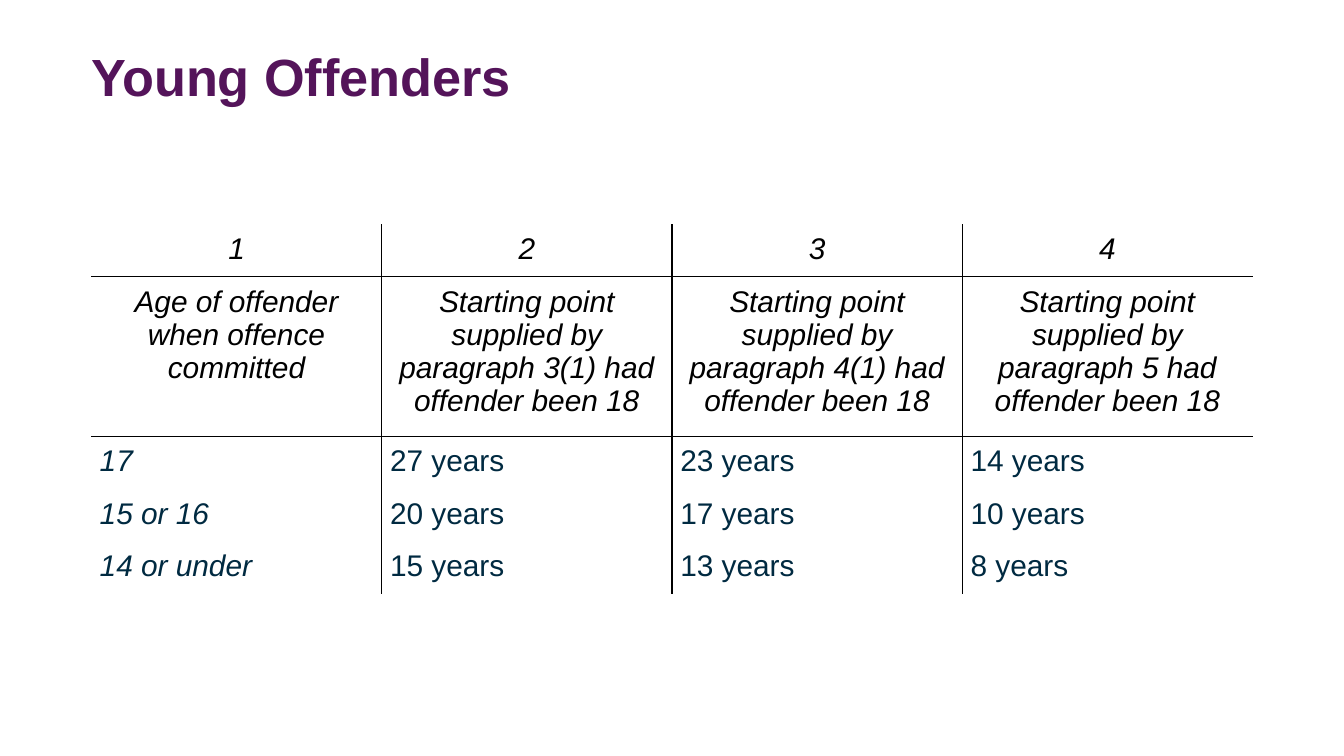
from dataclasses import dataclass

from lxml.etree import SubElement
from pptx import Presentation
from pptx.dml.color import RGBColor
from pptx.enum.text import MSO_ANCHOR, MSO_AUTO_SIZE, PP_ALIGN
from pptx.oxml.ns import qn
from pptx.util import Inches, Pt


@dataclass(frozen=True)
class Theme:
    """Colours, font and type sizes of the slide."""
    font: str = "Arial"
    title: str = "54145A"
    heading: str = "000000"
    body: str = "002A41"
    rule: str = "000000"
    paper: str = "FFFFFF"
    title_size: float = 28
    table_size: float = 16
    rule_width: float = 0.75


THEME = Theme()
SLIDE_WIDTH = 10
SLIDE_HEIGHT = SLIDE_WIDTH * 9 / 16
LEFT, WIDTH = 0.68, 8.64
CELL_INSET = 1 / 16
HEADING_ROWS = 2
ROW_HEIGHTS = [0.39, 1.19, 0.39, 0.39, 0.39]
SENTENCES = [
    ["1", "2", "3", "4"],
    ["Age of offender when offence committed"]
    + [f"Starting point supplied by paragraph {paragraph} had offender been 18"
       for paragraph in ("3(1)", "4(1)", "5")],
    ["17", "27 years", "23 years", "14 years"],
    ["15 or 16", "20 years", "17 years", "10 years"],
    ["14 or under", "15 years", "13 years", "8 years"],
]


def style_text(frame, size, colour, align, bold=False, italic=False):
    """Format the only paragraph of a text frame."""
    paragraph = frame.paragraphs[0]
    paragraph.alignment = align
    for run in paragraph.runs:
        font = run.font
        font.name, font.size = THEME.font, Pt(size)
        font.bold, font.italic = bold, italic
        font.color.rgb = RGBColor.from_string(colour)


def set_insets(target, inset):
    """Give a cell or text frame the same margin on all sides."""
    target.margin_left = target.margin_right = Inches(inset)
    target.margin_top = target.margin_bottom = Inches(inset)


def add_title(slide, wording):
    """Place and format the title placeholder."""
    title = slide.shapes.title
    title.left, title.top = Inches(LEFT), Inches(0.23)
    title.width, title.height = Inches(WIDTH), Inches(0.67)
    frame = title.text_frame
    frame.text = wording
    frame.auto_size = MSO_AUTO_SIZE.NONE
    frame.vertical_anchor = MSO_ANCHOR.MIDDLE
    set_insets(frame, 0)
    style_text(frame, THEME.title_size, THEME.title, PP_ALIGN.LEFT, bold=True)


def set_borders(cell, sides):
    """Draw rules on the sides marked true and clear the others."""
    properties = cell._tc.get_or_add_tcPr()
    for side, ruled in sides.items():
        line = SubElement(properties, qn(f"a:ln{side}"), w=str(Pt(THEME.rule_width)))
        if ruled:
            fill = SubElement(line, qn("a:solidFill"))
            SubElement(fill, qn("a:srgbClr"), val=THEME.rule)
        else:
            SubElement(line, qn("a:noFill"))


def format_cell(cell, row, column, last_column):
    """Style one cell by its place in the table."""
    heading = row < HEADING_ROWS
    set_insets(cell, CELL_INSET)
    set_borders(cell, {
        "L": column > 0,
        "R": column < last_column,
        "T": 0 < row <= HEADING_ROWS,
        "B": heading,
    })
    cell.fill.solid()
    cell.fill.fore_color.rgb = RGBColor.from_string(THEME.paper)
    style_text(
        cell.text_frame,
        THEME.table_size,
        THEME.heading if heading else THEME.body,
        PP_ALIGN.CENTER if heading else PP_ALIGN.LEFT,
        italic=heading or column == 0,
    )


def add_sentence_table(slide):
    """Add the table of starting points by age."""
    columns = len(SENTENCES[0])
    table = slide.shapes.add_table(
        len(SENTENCES), columns, Inches(LEFT), Inches(1.67),
        Inches(WIDTH), Inches(sum(ROW_HEIGHTS)),
    ).table
    table.first_row = table.horz_banding = False
    for table_column in table.columns:
        table_column.width = Inches(WIDTH / columns)
    for row, (height, entries) in enumerate(zip(ROW_HEIGHTS, SENTENCES)):
        table.rows[row].height = Inches(height)
        for column, entry in enumerate(entries):
            cell = table.cell(row, column)
            cell.text_frame.text = entry
            format_cell(cell, row, column, columns - 1)


def main():
    """Build and save the slide."""
    deck = Presentation()
    deck.slide_width, deck.slide_height = Inches(SLIDE_WIDTH), Inches(SLIDE_HEIGHT)
    slide = deck.slides.add_slide(deck.slide_layouts.get_by_name("Title Only"))
    add_title(slide, "Young Offenders")
    add_sentence_table(slide)
    deck.save("out.pptx")


if __name__ == "__main__":
    main()
